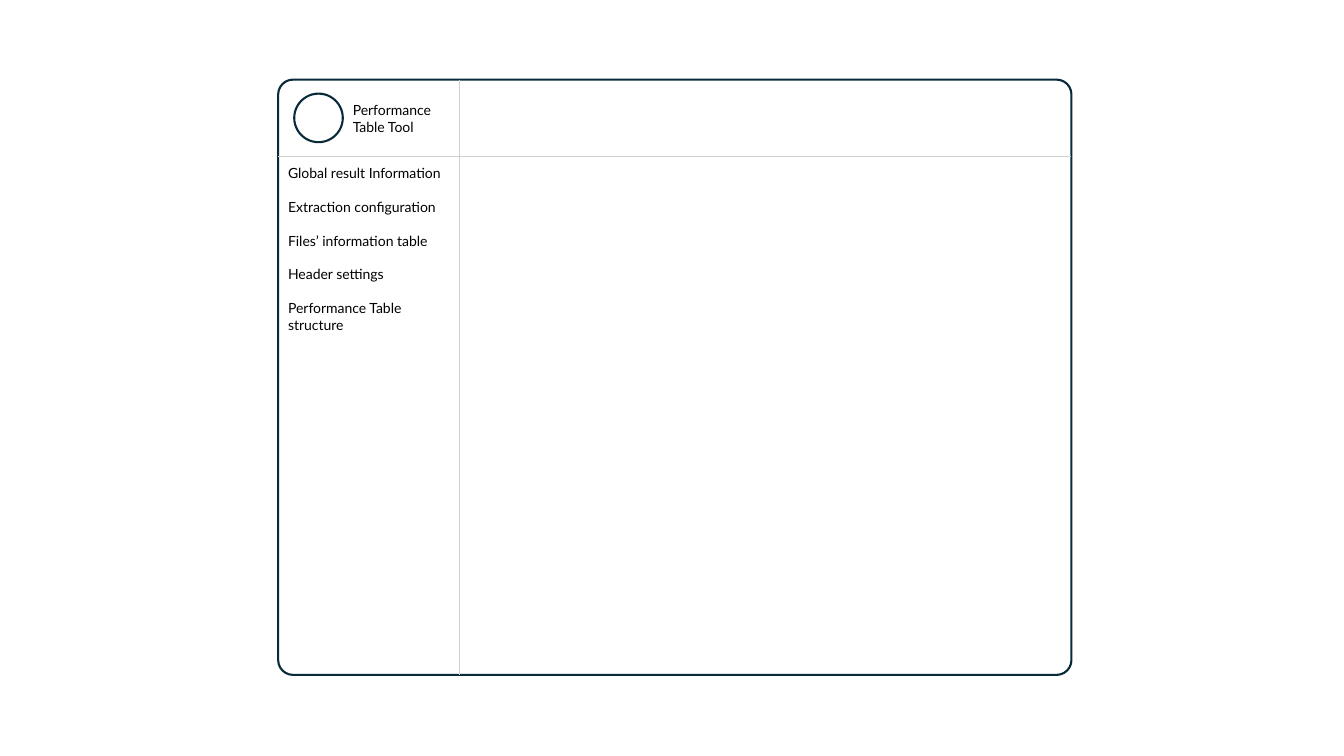
import dataclasses

import pptx
import pptx.dml.color
import pptx.enum.shapes
import pptx.enum.text
import pptx.oxml.ns
import pptx.util
from lxml import etree

Pt = pptx.util.Pt
RGB = pptx.dml.color.RGBColor
Shape = pptx.enum.shapes.MSO_SHAPE


@dataclasses.dataclass(frozen=True)
class Theme:
    font: str = "Lato"
    size: float = 10
    text: RGB = RGB(0, 0, 0)
    edge: RGB = RGB(0x09, 0x2A, 0x39)
    rule: RGB = RGB(0xD1, 0xD1, 0xD1)


THEME = Theme()
LEFT, TOP, WIDTH, HEIGHT = 198.72, 56.88, 566.64, 425.2
RIGHT, BOTTOM = LEFT + WIDTH, TOP + HEIGHT
SIDE, HEAD = 328.4, 111.6  # sidebar's right edge, header's lower edge
MENU = [
    "Global result Information",
    "Extraction configuration",
    "Files’ information table",
    "Header settings",
    "Performance Table structure",
]


def add_outline(slide, kind, x, y, w, h):
    shape = slide.shapes.add_shape(kind, Pt(x), Pt(y), Pt(w), Pt(h))
    shape.shadow.inherit = False
    shape.fill.background()
    shape.line.color.rgb = THEME.edge
    shape.line.width = Pt(1.5)
    return shape


def add_rule(slide, x1, y1, x2, y2):
    kind = pptx.enum.shapes.MSO_CONNECTOR.STRAIGHT
    rule = slide.shapes.add_connector(kind, Pt(x1), Pt(y1), Pt(x2), Pt(y2))
    rule.line.color.rgb = THEME.rule
    rule.line.width = Pt(1)
    etree.SubElement(rule._element.spPr, pptx.oxml.ns.qn("a:effectLst"))


def add_text(slide, x, y, w, h, lines, gap=0):
    """Add a text box with one paragraph per line, gap points apart."""
    frame = slide.shapes.add_textbox(Pt(x), Pt(y), Pt(w), Pt(h)).text_frame
    frame.word_wrap = True
    frame.auto_size = pptx.enum.text.MSO_AUTO_SIZE.SHAPE_TO_FIT_TEXT
    frame.text = "\n".join(lines)
    for para in frame.paragraphs:
        para.font.name = THEME.font
        para.font.size = Pt(THEME.size)
        para.font.color.rgb = THEME.text
    for para in frame.paragraphs[1:]:
        para.space_before = Pt(gap)


def main():
    deck = pptx.Presentation()
    deck.slide_width, deck.slide_height = Pt(960), Pt(540)
    slide = deck.slides.add_slide(deck.slide_layouts.get_by_name("Blank"))

    window = add_outline(slide, Shape.ROUNDED_RECTANGLE, LEFT, TOP, WIDTH, HEIGHT)
    window.adjustments[0] = 0.025
    add_rule(slide, SIDE, TOP, SIDE, BOTTOM)
    add_rule(slide, LEFT, HEAD, RIGHT, HEAD)

    add_outline(slide, Shape.OVAL, 210.2, 66.9, 34.7, 34.7)
    add_text(slide, 244.9, 69, 84, 31.4, ["Performance Table Tool"])
    add_text(slide, LEFT, 114.2, 130, 177, MENU, gap=12)
    deck.save("out.pptx")


if __name__ == "__main__":
    main()
